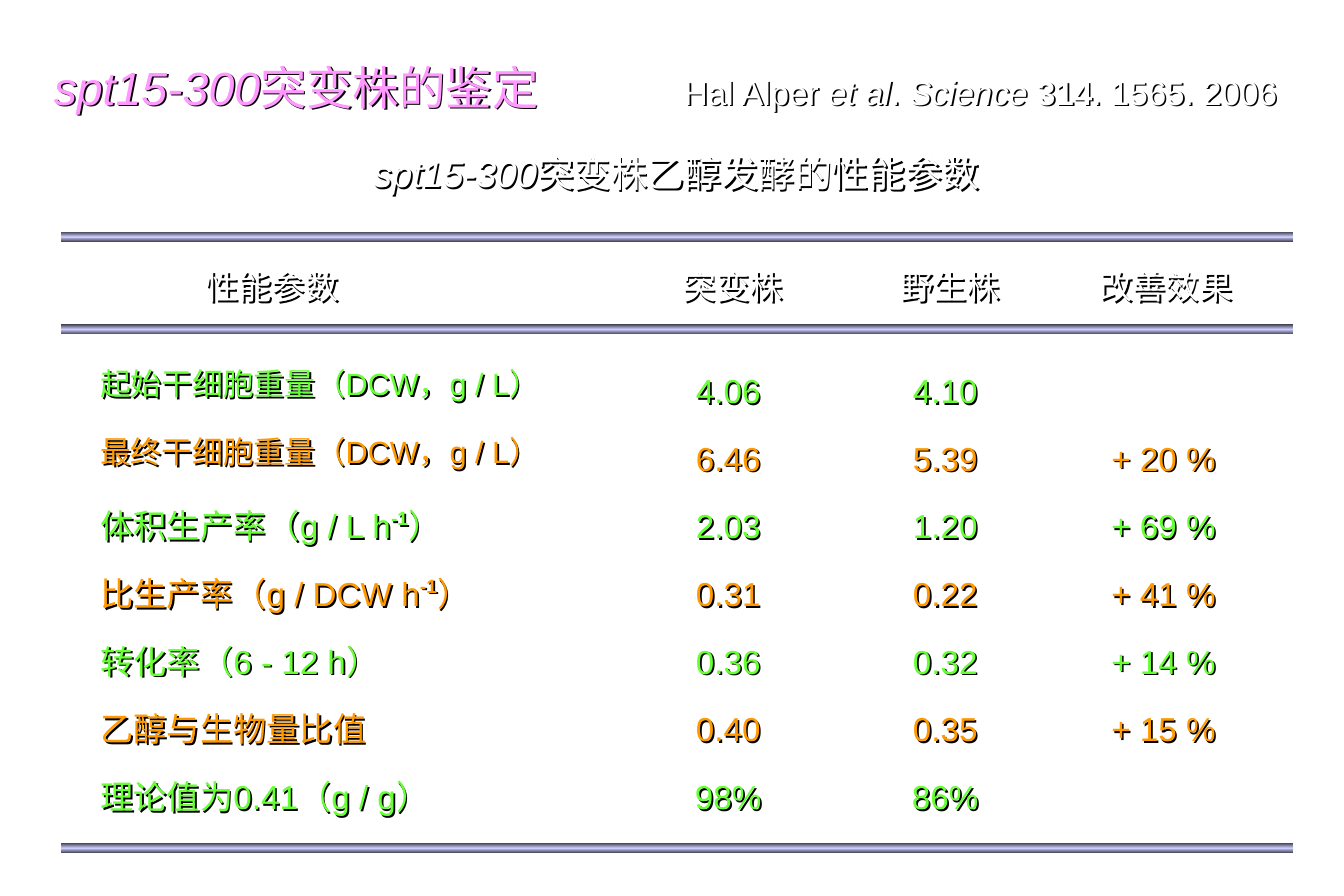
"""Build the slide on identifying the spt15-300 mutant strain."""
import copy
from dataclasses import dataclass

import lxml.etree
import pptx
import pptx.dml.color
import pptx.enum.shapes
import pptx.enum.text
import pptx.oxml
import pptx.oxml.ns
import pptx.util

PX = 7620
WHITE, PINK, GREEN, ORANGE = "FFFFFF", "FF99FF", "66FF33", "FF9900"
RULE_DARK, RULE_LIGHT = "414151", "CCCCFF"
ALIGN = pptx.enum.text.PP_ALIGN
NS = pptx.oxml.ns.nsdecls("a")
SHADOW = (f'<a:effectLst {NS}><a:outerShdw dist="17961" dir="2700000">'
          '<a:srgbClr val="000000"/></a:outerShdw></a:effectLst>')

BOX_HEIGHT = 76
HEADER_TOP, HEADER_WIDTH = 242, 161
FIRST_ROW_TOP, ROW_PITCH = 346, 68
LABEL_LEFT, LABEL_WIDTH = 89, 520
RULE_TOPS = (233, 326, 847)


@dataclass
class Column:
    header: str
    header_left: int
    left: int = 0
    width: int = 0
    align: ALIGN = ALIGN.CENTER


@dataclass
class Measure:
    label: str
    values: tuple[str, ...]
    power: str = ""
    closing: str = ""
    size: float = 20
    spacing: float = 1.5


LABEL_HEADER = Column("性能参数", 193)
VALUE_COLUMNS = (
    Column("突变株", 656, 684, 95),
    Column("野生株", 874, 902, 95),
    Column("改善效果", 1091, 1091, 142, ALIGN.RIGHT),
)
MEASURES = (
    Measure("起始干细胞重量（DCW，g / L）", ("4.06", "4.10"), size=18.5, spacing=1.4),
    Measure("最终干细胞重量（DCW，g / L）", ("6.46", "5.39", "+ 20 %"), size=18.5, spacing=1.4),
    Measure("体积生产率（g / L h", ("2.03", "1.20", "+ 69 %"), "-1", "）"),
    Measure("比生产率（g / DCW h", ("0.31", "0.22", "+ 41 %"), "-1", "）"),
    Measure("转化率（6 - 12 h）", ("0.36", "0.32", "+ 14 %")),
    Measure("乙醇与生物量比值", ("0.40", "0.35", "+ 15 %")),
    Measure("理论值为0.41（g / g）", ("98%", "86%")),
)


def px(n: int) -> pptx.util.Emu:
    """Turn pixels into EMU."""
    return pptx.util.Emu(n * PX)


def rgb(value: str) -> pptx.dml.color.RGBColor:
    """Turn a hex string into a colour."""
    return pptx.dml.color.RGBColor.from_string(value)


def add_text(p, text: str, *, size: float = 20, color: str = WHITE, bold: bool = False,
             italic: bool = False, baseline: int = 0) -> None:
    """Add a formatted run to a paragraph."""
    r = p.add_run()
    r.text = text
    r.font.name = "Arial"
    r.font.size = pptx.util.Pt(size)
    r.font.bold, r.font.italic = bold, italic
    r.font.color.rgb = rgb(color)
    if baseline:
        r._r.get_or_add_rPr().set("baseline", str(baseline * 1000))


def prepare(sp, align: ALIGN, spacing: float):
    """Give a text shape its shadow and layout, and return its paragraph."""
    sp.fill.background()
    sp._element.spPr.append(pptx.oxml.parse_xml(SHADOW))
    tf = sp.text_frame
    tf.word_wrap = True
    tf.auto_size = pptx.enum.text.MSO_AUTO_SIZE.NONE
    tf.vertical_anchor = pptx.enum.text.MSO_ANCHOR.TOP
    p = tf.paragraphs[0]
    p.alignment = align
    p.line_spacing = spacing
    return p


def add_box(slide, left: int, top: int, width: int, align: ALIGN = ALIGN.CENTER,
            spacing: float = 1.5):
    """Add a text box and return its paragraph."""
    sp = slide.shapes.add_textbox(px(left), px(top), px(width), px(BOX_HEIGHT))
    return prepare(sp, align, spacing)


def add_title(slide) -> None:
    """Fill the title with the heading and its citation."""
    sp = slide.shapes.title
    sp.left, sp.top, sp.width, sp.height = map(px, (42, 25, 1276, 118))
    p = prepare(sp, ALIGN.LEFT, 1.5)
    tabs = lxml.etree.SubElement(p._p.get_or_add_pPr(), pptx.oxml.ns.qn("a:tabLst"))
    lxml.etree.SubElement(tabs, pptx.oxml.ns.qn("a:tab"), pos=str(px(1229)), algn="r")
    add_text(p, "spt15-300", size=28, color=PINK, italic=True)
    add_text(p, "突变株的鉴定", size=28, color=PINK)
    add_text(p, "\tHal Alper ")
    add_text(p, "et al", italic=True)
    add_text(p, ". ")
    add_text(p, "Science ", italic=True)
    add_text(p, "314", bold=True)
    add_text(p, ". 1565. 2006")


def add_caption(slide) -> None:
    """Add the caption above the measures."""
    p = add_box(slide, 325, 128, 709, spacing=1.4)
    add_text(p, "spt15-300", size=22.2, italic=True)
    add_text(p, "突变株乙醇发酵的性能参数", size=22.2)


def add_headers(slide) -> None:
    """Add the column headers."""
    for column in (LABEL_HEADER, *VALUE_COLUMNS):
        p = add_box(slide, column.header_left, HEADER_TOP, HEADER_WIDTH)
        add_text(p, column.header)


def add_measure(slide, measure: Measure, top: int, color: str) -> None:
    """Add one row: its label and its values."""
    p = add_box(slide, LABEL_LEFT, top, LABEL_WIDTH, ALIGN.LEFT, measure.spacing)
    add_text(p, measure.label, size=measure.size, color=color)
    if measure.power:
        add_text(p, measure.power, color=color, bold=True, baseline=40)
        add_text(p, measure.closing, color=color)
    for column, value in zip(VALUE_COLUMNS, measure.values):
        p = add_box(slide, column.left, top, column.width, column.align)
        add_text(p, value, color=color)


def add_rule(slide, top: int) -> None:
    """Add a horizontal bar shaded from its edges to its middle."""
    sp = slide.shapes.add_shape(pptx.enum.shapes.MSO_SHAPE.RECTANGLE,
                                px(61), px(top), px(1238), px(10))
    sp.shadow.inherit = False
    sp.line.fill.background()
    sp.fill.gradient()
    sp.fill.gradient_angle = 90
    first = sp._element.spPr.find(".//" + pptx.oxml.ns.qn("a:gs"))
    first.addnext(copy.deepcopy(first))
    shades = ((0, RULE_DARK), (0.5, RULE_LIGHT), (1, RULE_DARK))
    for stop, (position, color) in zip(sp.fill.gradient_stops, shades):
        stop.position = position
        stop.color.rgb = rgb(color)


def main() -> None:
    """Build and save the slide."""
    prs = pptx.Presentation()
    prs.slide_width, prs.slide_height = px(1350), px(900)
    slide = prs.slides.add_slide(prs.slide_layouts[5])
    add_title(slide)
    add_caption(slide)
    for top in RULE_TOPS:
        add_rule(slide, top)
    add_headers(slide)
    for i, measure in enumerate(MEASURES):
        add_measure(slide, measure, FIRST_ROW_TOP + ROW_PITCH * i, ORANGE if i % 2 else GREEN)
    prs.save("out.pptx")


if __name__ == "__main__":
    main()
